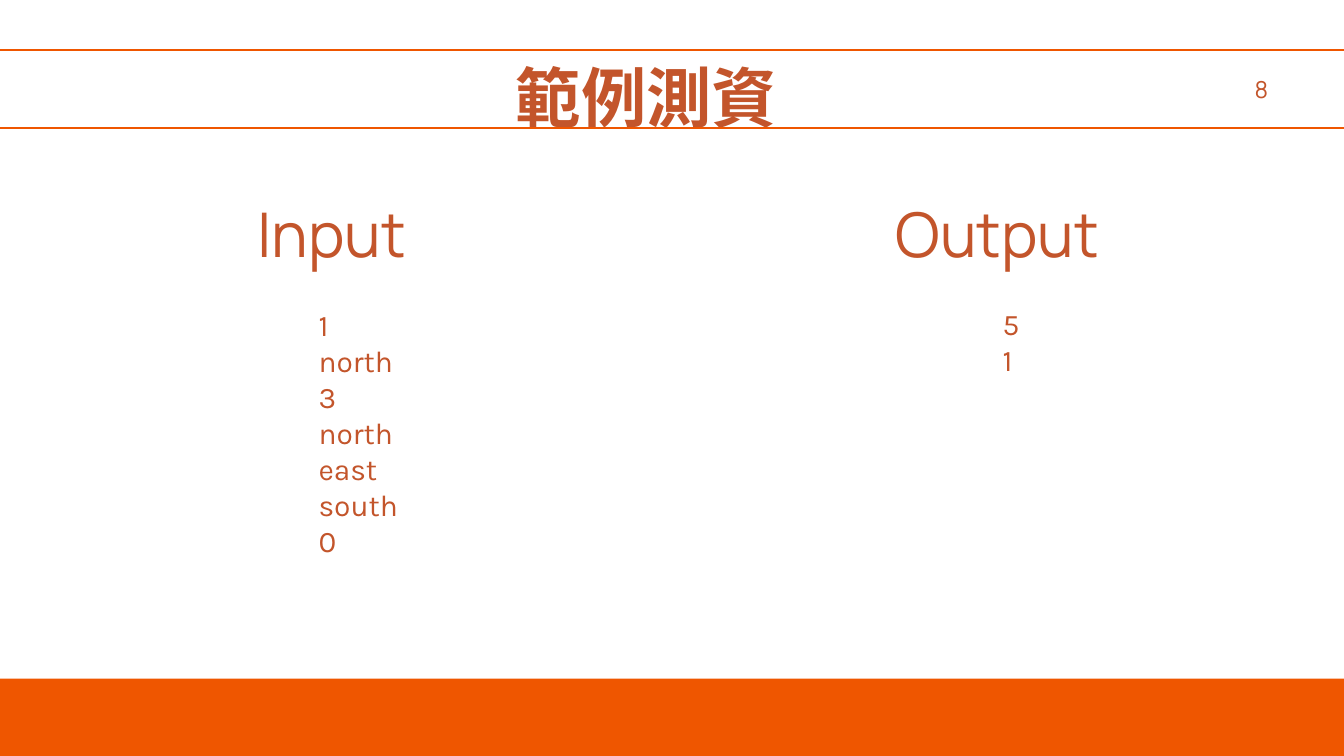
import pptx
import pptx.util
from lxml import etree
from pptx.dml.color import RGBColor
from pptx.enum.shapes import MSO_SHAPE
from pptx.enum.text import MSO_ANCHOR, MSO_AUTO_SIZE, PP_ALIGN
from pptx.oxml.ns import qn
from pptx.util import Inches, Pt

RUST = RGBColor(0xC3, 0x55, 0x2B)
ORANGE = RGBColor(0xEF, 0x56, 0x00)
HEAD_FONT, BODY_FONT, CJK_FONT = "Manrope", "Karla", "Noto Sans CJK SC"

TITLE = "範例測資"
PAGE = "8"
HEADINGS = [
    ("Input", (2.81, 2.65, 4.25, 1.29)),
    ("Output", (12.08, 2.65, 5.52, 1.29)),
]
# lines, box, outline level
SAMPLES = [
    (["1", "north", "3", "north", "east", "south", "0"], (1.74, 4.57, 6.84, 3.77), 6),
    (["5", "1"], (11.42, 4.55, 6.84, 1.08), 7),
]
LEVEL_INDENT = 0.5
HEADER_FRAME = (-1.76, 0.75, 22.76, 1.16)
FOOTER_BAND = (-1.02, 10.1, 22.76, 1.88)


def inches(box):
    return [Inches(v) for v in box]


def fill_text(shape, lines, font, size, align=PP_ALIGN.LEFT, spacing=None, level=0, bold=False):
    tf = shape.text_frame
    tf.word_wrap = True
    tf.auto_size = MSO_AUTO_SIZE.NONE
    tf.vertical_anchor = MSO_ANCHOR.TOP
    tf.margin_left = tf.margin_top = tf.margin_right = tf.margin_bottom = 0
    tf.text = "\n".join(lines)
    for p in tf.paragraphs:
        p.alignment = align
        p.level = level
        if level:
            pPr = p._p.get_or_add_pPr()
            pPr.set("marL", str(Inches(level * LEVEL_INDENT)))
            pPr.set("indent", "0")
        if spacing:
            p.line_spacing = Pt(spacing)
        for r in p.runs:
            r.font.name, r.font.size, r.font.bold = font, Pt(size), bold
            r.font.color.rgb = RUST
            ea = etree.SubElement(r.font._element, qn("a:ea"))
            ea.set("typeface", font)


def add_rectangle(s, box):
    sp = s.shapes.add_shape(MSO_SHAPE.RECTANGLE, *inches(box))
    sp.shadow.inherit = False
    return sp


def add_text(s, box, lines, *args, **kwargs):
    fill_text(s.shapes.add_textbox(*inches(box)), lines, *args, **kwargs)


def main():
    prs = pptx.Presentation()
    prs.slide_width, prs.slide_height = Inches(20), Inches(11.25)
    s = prs.slides.add_slide(prs.slide_layouts[5])

    title = s.shapes.title
    title.left, title.top, title.width, title.height = inches((6.87, 0.65, 5.5, 1.26))
    fill_text(title, [TITLE], CJK_FONT, 70, PP_ALIGN.CENTER, 98, bold=True)

    for heading, box in HEADINGS:
        add_text(s, box, [heading], HEAD_FONT, 66, PP_ALIGN.CENTER, 98)
    for lines, box, level in SAMPLES:
        add_text(s, box, lines, BODY_FONT, 32, level=level)

    frame = add_rectangle(s, HEADER_FRAME)
    frame.fill.background()
    frame.line.color.rgb = ORANGE
    frame.line.width = Pt(2.25)
    add_text(s, (17.86, 1.05, 1.01, 0.46), [PAGE], HEAD_FONT, 25, PP_ALIGN.RIGHT, 35)

    band = add_rectangle(s, FOOTER_BAND)
    band.fill.solid()
    band.fill.fore_color.rgb = ORANGE
    band.line.fill.background()

    prs.save("out.pptx")


if __name__ == "__main__":
    main()
